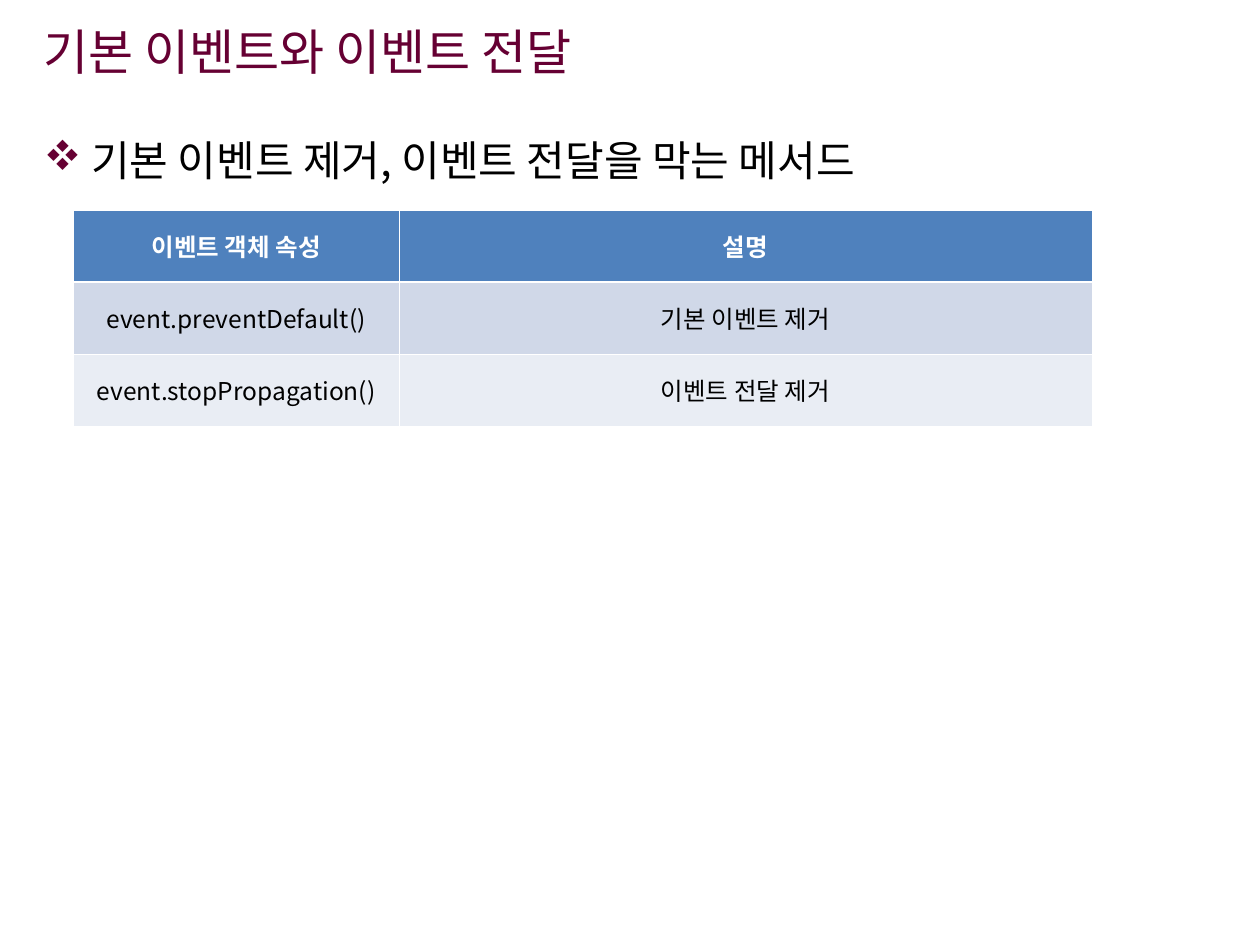
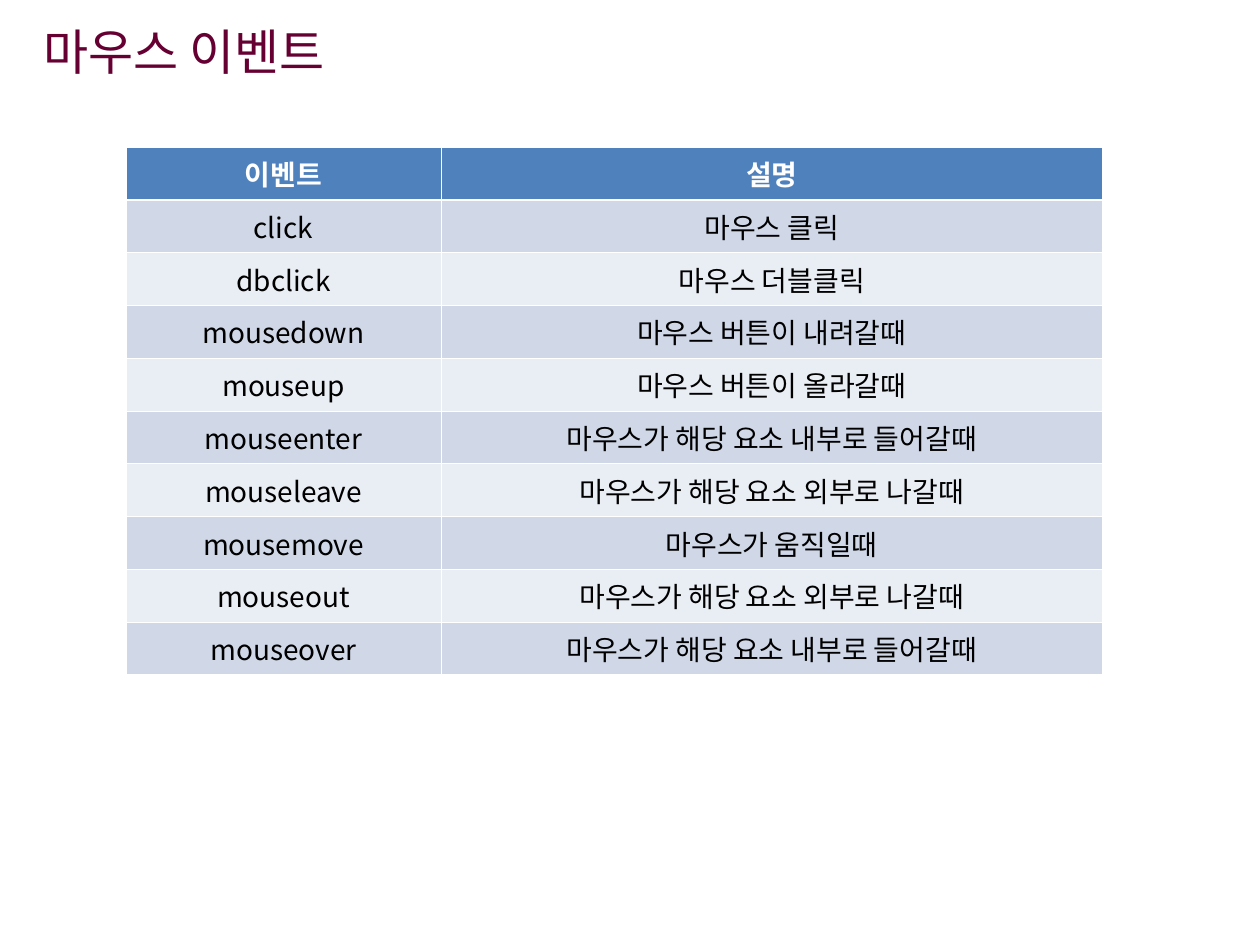
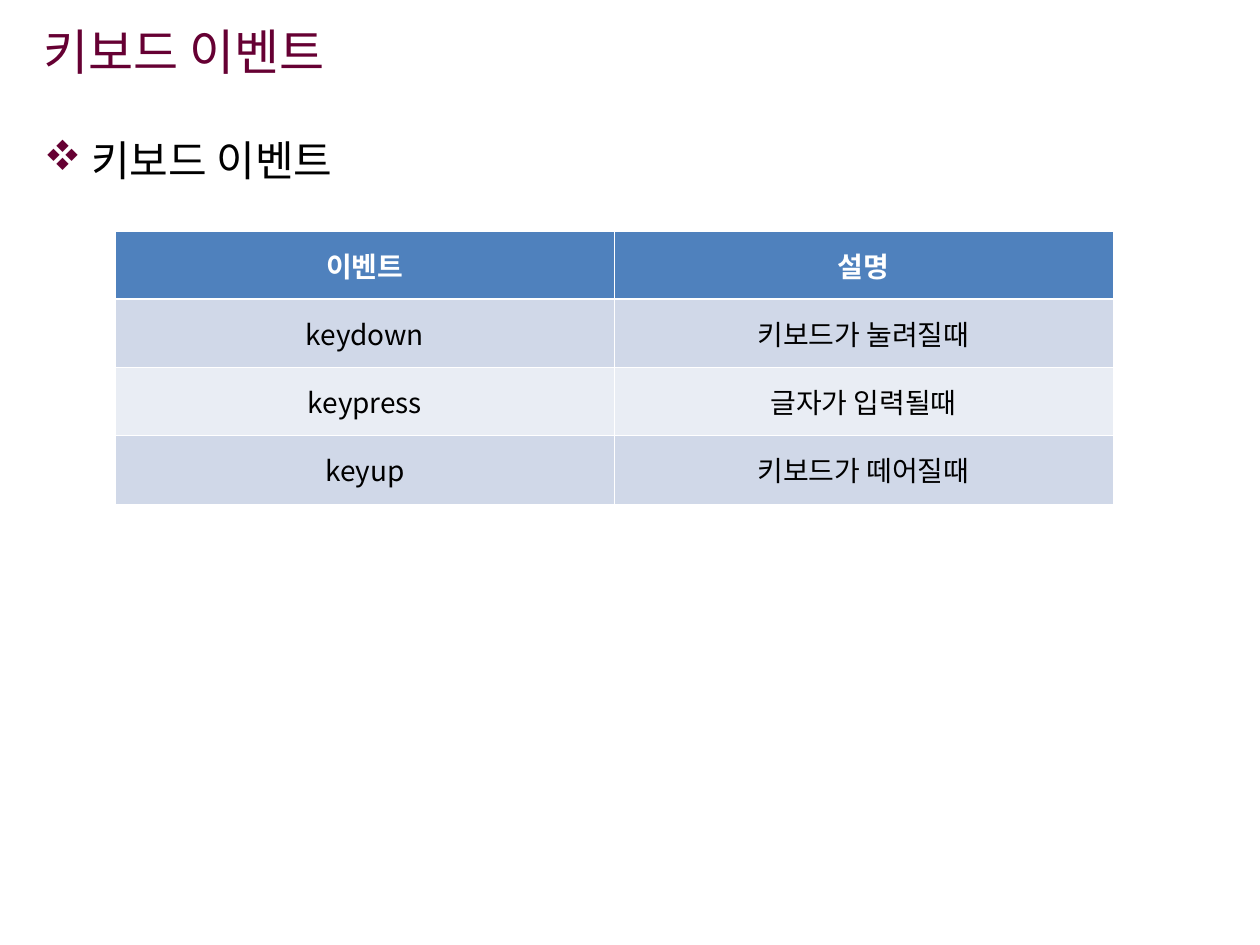
import pptx
import pptx.util
import pptx.dml.color
import pptx.enum.text
import pptx.oxml.ns
import lxml.etree
from dataclasses import dataclass


@dataclass(frozen=True)
class Theme:
    font: str = "Noto Sans CJK KR"
    bullet_font: str = "Wingdings"
    accent: str = "660033"
    ink: str = "000000"
    white: str = "FFFFFF"
    header: str = "4F81BD"
    bands: tuple = ("D0D8E8", "E9EDF4")
    title_size: int = 28
    topic_size: int = 24
    rule: float = 0.45
    header_rule: float = 1.47


T = Theme()
ALIGN = pptx.enum.text.PP_ALIGN
ANCHOR = pptx.enum.text.MSO_ANCHOR
RGB = pptx.dml.color.RGBColor.from_string
qn = pptx.oxml.ns.qn

prs = pptx.Presentation()
prs.slide_width = pptx.util.Inches(10)
prs.slide_height = pptx.util.Inches(7.5)
UNIT = prs.slide_width / 120  # grid of 120 columns by 90 rows


def grid(*units):
    return [pptx.util.Emu(round(u * UNIT)) for u in units]


def write(tf, text, size, color=T.ink, bold=False, align=ALIGN.LEFT, bullet=None):
    tf.word_wrap = True
    p = tf.paragraphs[0]
    p.alignment = align
    if bullet:
        p.space_before = pptx.util.Pt(6)
        pPr = p._p.get_or_add_pPr()
        indent = grid(4.5)[0]
        pPr.set("marL", str(indent))
        pPr.set("indent", str(-indent))
        buClr = lxml.etree.SubElement(pPr, qn("a:buClr"))
        lxml.etree.SubElement(buClr, qn("a:srgbClr"), val=T.accent)
        lxml.etree.SubElement(pPr, qn("a:buFont"), typeface=T.bullet_font, charset="2")
        lxml.etree.SubElement(pPr, qn("a:buChar"), char=bullet)
    r = p.add_run()
    r.text = text
    r.font.size = pptx.util.Pt(size)
    r.font.bold = bold
    r.font.color.rgb = RGB(color)
    r.font.name = T.font


# Content: table place is left, top, height in grid units
slides = [
    dict(
        title="기본 이벤트와 이벤트 전달",
        topic="기본 이벤트 제거, 이벤트 전달을 막는 메서드",
        place=(7, 20, 20.6), cols=(31, 66), size=14,
        rows=[
            ("이벤트 객체 속성", "설명"),
            ("event.preventDefault()", "기본 이벤트 제거"),
            ("event.stopPropagation()", "이벤트 전달 제거"),
        ],
    ),
    dict(
        title="마우스 이벤트",
        topic=None,
        place=(12, 14, 50.3), cols=(30, 63), size=16,
        rows=[
            ("이벤트", "설명"),
            ("click", "마우스 클릭"),
            ("dbclick", "마우스 더블클릭"),
            ("mousedown", "마우스 버튼이 내려갈때"),
            ("mouseup", "마우스 버튼이 올라갈때"),
            ("mouseenter", "마우스가 해당 요소 내부로 들어갈때"),
            ("mouseleave", "마우스가 해당 요소 외부로 나갈때"),
            ("mousemove", "마우스가 움직일때"),
            ("mouseout", "마우스가 해당 요소 외부로 나갈때"),
            ("mouseover", "마우스가 해당 요소 내부로 들어갈때"),
        ],
    ),
    dict(
        title="키보드 이벤트",
        topic="키보드 이벤트",
        place=(11, 22, 26), cols=(47.5, 47.5), size=16,
        rows=[
            ("이벤트", "설명"),
            ("keydown", "키보드가 눌려질때"),
            ("keypress", "글자가 입력될때"),
            ("keyup", "키보드가 떼어질때"),
        ],
    ),
]

for content in slides:
    s = prs.slides.add_slide(prs.slide_layouts[6])

    # Topic line; "v" is the four-diamond sign of the bullet font
    if content["topic"]:
        tf = s.shapes.add_textbox(*grid(3, 12.25, 114, 75)).text_frame
        write(tf, content["topic"], T.topic_size, bullet="v")

    # Title
    tf = s.shapes.add_textbox(*grid(3, 1.1, 99.25, 7.5)).text_frame
    tf.vertical_anchor = ANCHOR.MIDDLE
    write(tf, content["title"], T.title_size, color=T.accent)

    # Table
    rows, cols = content["rows"], content["cols"]
    left, top, height = content["place"]
    table = s.shapes.add_table(
        len(rows), len(cols), *grid(left, top, sum(cols), height)).table
    for column, width in zip(table.columns, grid(*cols)):
        column.width = width

    for i, row in enumerate(rows):
        is_header = i == 0
        for j, text in enumerate(row):
            cell = table.cell(i, j)
            cell.vertical_anchor = ANCHOR.MIDDLE
            write(cell.text_frame, text, content["size"], bold=is_header,
                  color=T.white if is_header else T.ink, align=ALIGN.CENTER)

            # Borders, heavier under the header row
            tcPr = cell._tc.get_or_add_tcPr()
            for side in "LRTB":
                heavy = (i, side) in ((0, "B"), (1, "T"))
                width = pptx.util.Pt(T.header_rule if heavy else T.rule)
                ln = lxml.etree.SubElement(tcPr, qn("a:ln" + side), w=str(width))
                fill = lxml.etree.SubElement(ln, qn("a:solidFill"))
                lxml.etree.SubElement(fill, qn("a:srgbClr"), val=T.white)

            cell.fill.solid()
            cell.fill.fore_color.rgb = RGB(
                T.header if is_header else T.bands[(i - 1) % 2])

prs.save("out.pptx")
